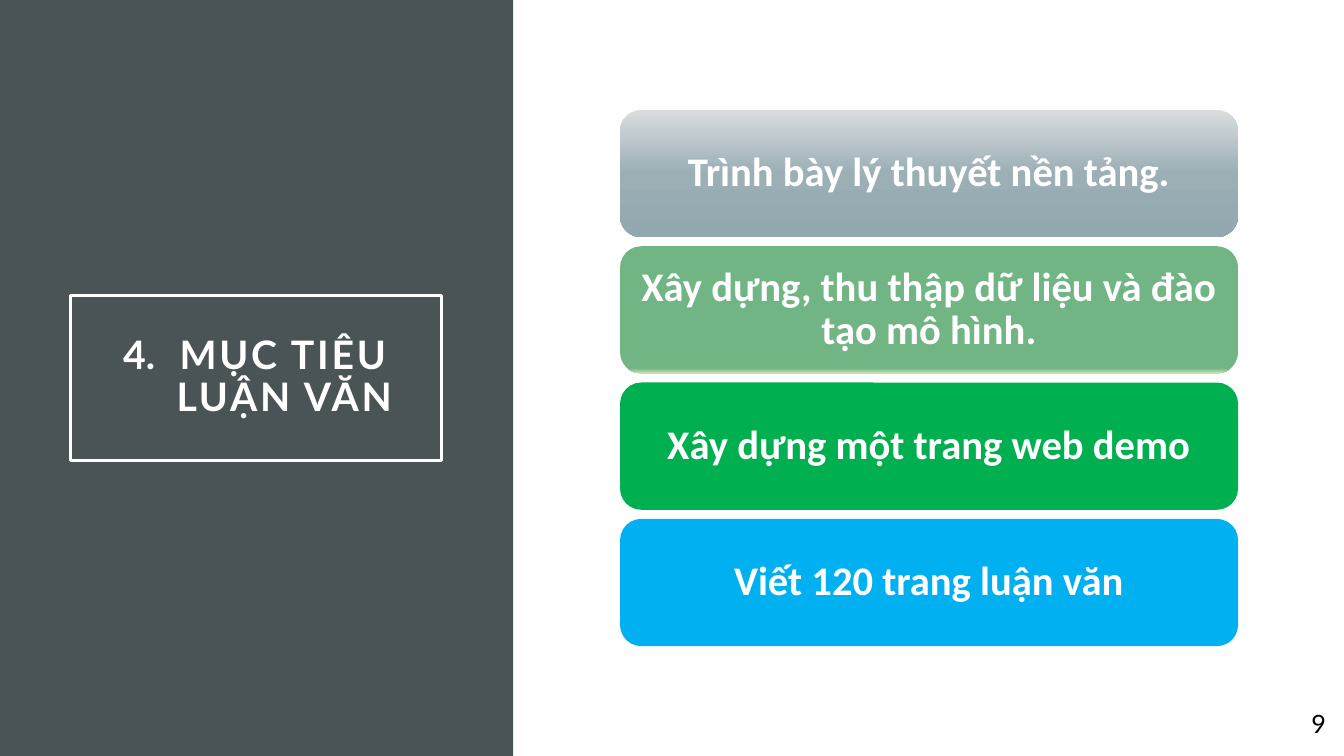
from copy import deepcopy

from lxml.etree import SubElement
from pptx import Presentation
from pptx.dml.color import RGBColor
from pptx.enum.shapes import MSO_SHAPE as Shape
from pptx.enum.text import MSO_ANCHOR as Anchor, PP_ALIGN as Align
from pptx.oxml.ns import qn
from pptx.util import Inches, Pt

WHITE = RGBColor(0xFF, 0xFF, 0xFF)
BLACK = RGBColor(0x00, 0x00, 0x00)
SLATE = RGBColor(0x4A, 0x53, 0x56)
MIST = RGBColor(0xD9, 0xDD, 0xDF)
STEEL = RGBColor(0x9B, 0xAF, 0xB5)
DEEP_STEEL = RGBColor(0x93, 0xA9, 0xAF)
SAGE = RGBColor(0x72, 0xB5, 0x84)
PALE_GREEN = RGBColor(0xC9, 0xE4, 0xB4)
GREEN = RGBColor(0x00, 0xB0, 0x50)
BLUE = RGBColor(0x00, 0xB0, 0xF0)

# Each goal has its text and its colour stops from top to bottom.
GOALS = [
    ("Trình bày lý thuyết nền tảng.", [(0, MIST), (0.5, STEEL), (1, DEEP_STEEL)]),
    ("Xây dựng, thu thập dữ liệu và đào tạo mô hình.", [(0.96, SAGE), (1, PALE_GREEN)]),
    ("Xây dựng một trang web demo", [(0, GREEN)]),
    ("Viết 120 trang luận văn", [(0, BLUE)]),
]


def add_box(page, kind, left, top, width, height):
    """Add a shape without shadow, fill or line."""
    box = page.shapes.add_shape(
        kind, Inches(left), Inches(top), Inches(width), Inches(height))
    box.shadow.inherit = False
    box.fill.background()
    box.line.fill.background()
    return box


def paint(fill, stops):
    """Fill with one colour, or with a gradient running downwards."""
    if len(stops) == 1:
        fill.solid()
        fill.fore_color.rgb = stops[0][1]
        return
    fill.gradient()
    fill.gradient_angle = 270
    stop_list = fill._fill._gradFill.find(qn("a:gsLst"))
    for _ in stops[2:]:
        stop_list.append(deepcopy(stop_list[-1]))
    for stop, (position, color) in zip(fill.gradient_stops, stops):
        stop.position = position
        stop.color.rgb = color


def write(box, text, font, size, color, bold=False, inset=0.1, spacing=0.9):
    """Write one centred paragraph in the middle of the box and return it."""
    frame = box.text_frame
    frame.text = text
    frame.word_wrap = True
    frame.vertical_anchor = Anchor.MIDDLE
    frame.margin_left = frame.margin_right = Inches(inset)
    frame.margin_top = frame.margin_bottom = Inches(inset)
    para = frame.paragraphs[0]
    para.alignment = Align.CENTER
    para.line_spacing = spacing
    span = para.runs[0]
    span.font.name = font
    span.font.size = Pt(size)
    span.font.bold = bold
    span.font.color.rgb = color
    return para


def number_heading(para, start):
    """Number the paragraph with a hanging indent and widen its letters."""
    indent = Inches(0.56)
    props = para._p.get_or_add_pPr()
    props.set("marL", str(indent))
    props.set("indent", str(-indent))
    bullet_color = SubElement(props, qn("a:buClr"))
    SubElement(bullet_color, qn("a:srgbClr"), val=str(WHITE))
    SubElement(props, qn("a:buFont"), typeface="+mj-lt")
    SubElement(props, qn("a:buAutoNum"), type="arabicPeriod", startAt=str(start))
    para.runs[0].font._element.set("spc", "200")


def add_title_panel(page, left, top, width, height):
    panel = add_box(page, Shape.RECTANGLE, left, top, width, height)
    paint(panel.fill, [(0, SLATE)])
    title = add_box(page, Shape.RECTANGLE, left + 0.7, top + 2.93, 3.68, 1.64)
    title.line.color.rgb = WHITE
    title.line.width = Pt(2.5)
    para = write(title, "MỤC TIÊU LUẬN VĂN", "Lato", 28, WHITE, True, 0.2)
    number_heading(para, 4)


def add_goals(page, left, top, width, height, gap=0.09):
    card_height = (height + gap) / len(GOALS) - gap
    for index, (text, stops) in enumerate(GOALS):
        card_top = top + index * (card_height + gap)
        card = add_box(page, Shape.ROUNDED_RECTANGLE, left, card_top, width, card_height)
        paint(card.fill, stops)
        write(card, text, "Calibri", 29, WHITE, True, 0.12)


def add_page_number(page, left, top, width, height):
    box = page.shapes.add_textbox(
        Inches(left), Inches(top), Inches(width), Inches(height))
    write(box, "9", "Lato", 18, BLACK, inset=0.05, spacing=1.0)


def main():
    deck = Presentation()
    deck.slide_width = Inches(13.33)
    deck.slide_height = Inches(7.5)
    page = deck.slides.add_slide(deck.slide_layouts[6])
    add_title_panel(page, 0, 0, 5.09, 7.5)
    add_goals(page, 6.15, 1.09, 6.13, 5.32)
    add_page_number(page, 12.83, 6.98, 0.5, 0.4)
    deck.save("out.pptx")


if __name__ == "__main__":
    main()
